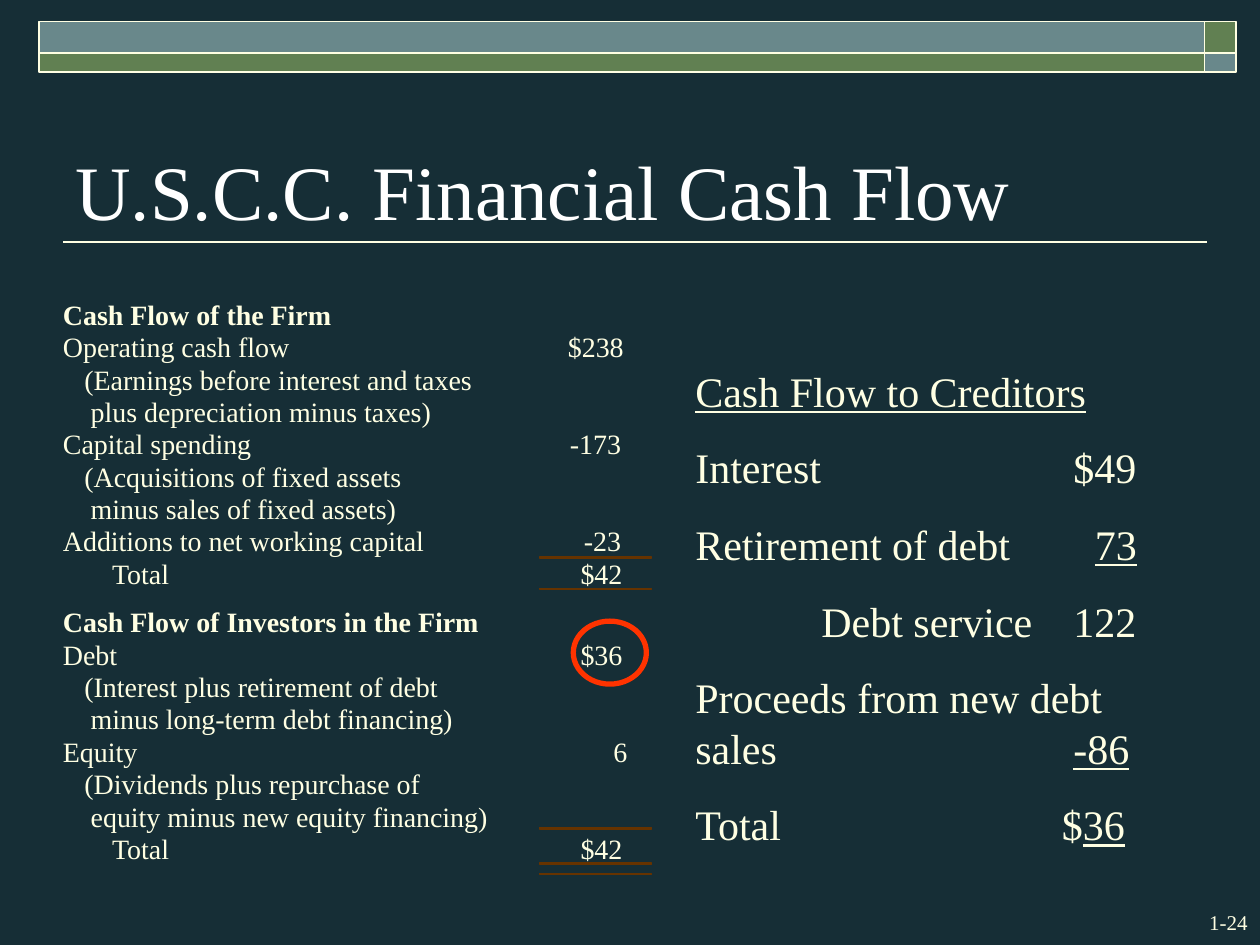
from lxml.etree import SubElement
from pptx import Presentation
from pptx.dml.color import RGBColor
from pptx.enum.shapes import MSO_CONNECTOR, MSO_SHAPE
from pptx.enum.text import MSO_ANCHOR, PP_ALIGN
from pptx.oxml.ns import qn
from pptx.util import Pt

PX = 9144  # EMU per px, 100 px to the inch
FONT = "Times New Roman"
NAVY = RGBColor(0x16, 0x2E, 0x36)
CREAM = RGBColor(0xFF, 0xFF, 0xE3)
WHITE = RGBColor(0xFF, 0xFF, 0xFF)
GREEN = RGBColor(0x61, 0x80, 0x52)
TEAL = RGBColor(0x69, 0x88, 0x8B)
RED = RGBColor(0xFF, 0x33, 0x00)
BROWN = RGBColor(0x66, 0x33, 0x00)
BLACK = RGBColor(0, 0, 0)

ROW_PITCH = 25.7
# label, indent, bold, amount, right edge of the amount
FIRM_ROWS = [
    ("Cash Flow of the Firm", 0, True, None, 0),
    ("Operating cash flow", 0, False, "$238", 445),
    ("(Earnings before interest and taxes", 17, False, None, 0),
    ("plus depreciation minus taxes)", 22, False, None, 0),
    ("Capital spending", 0, False, "-173", 443),
    ("(Acquisitions of fixed assets", 17, False, None, 0),
    ("minus sales of fixed assets)", 22, False, None, 0),
    ("Additions to net working capital", 0, False, "-23", 443),
    ("Total", 39, False, "$42", 444),
]
INVESTOR_ROWS = [
    ("Cash Flow of Investors in the Firm", 0, True, None, 0),
    ("Debt", 0, False, "$36", 444),
    ("(Interest plus retirement of debt", 17, False, None, 0),
    ("minus long-term debt financing)", 22, False, None, 0),
    ("Equity", 0, False, "6", 448),
    ("(Dividends plus repurchase of", 17, False, None, 0),
    ("equity minus new equity financing)", 22, False, None, 0),
    ("Total", 39, False, "$42", 444),
]
# tab stops, plain text, underlined text
CREDITOR_LINES = [
    ([], "", "Cash Flow to Creditors"),
    ([300], "Interest\t$49", ""),
    ([317], "Retirement of debt\t", "73"),
    ([100, 300], "\tDebt service\t122", ""),
    ([300], "Proceeds from new debt sales\t", "-86"),
    ([291], "Total\t$", "36"),
]


def emu(*lengths):
    return [round(n * PX) for n in lengths]


def add_run(p, text, size, color=CREAM, **extra):
    r = p.add_run()
    r.text = text
    r.font.color.rgb = color
    for name, value in {"name": FONT, "size": Pt(size), **extra}.items():
        setattr(r.font, name, value)


def add_frame(s, box, inset=(0, 0), **extra):
    """Add a wrapping text box with (side, top and bottom) insets."""
    tf = s.shapes.add_textbox(*emu(*box)).text_frame
    side, end = emu(*inset)
    values = {"word_wrap": True, "margin_left": side, "margin_right": side,
              "margin_top": end, "margin_bottom": end, **extra}
    for name, value in values.items():
        setattr(tf, name, value)
    return tf


def add_outlined(s, kind, box, fill, line, width):
    sp = s.shapes.add_shape(kind, *emu(*box))
    sp.shadow.inherit = False
    if fill is None:
        sp.fill.background()
    else:
        sp.fill.solid()
        sp.fill.fore_color.rgb = fill
    sp.line.color.rgb = line
    sp.line.width = Pt(width)


def header_bars(s, x, y, w, h):
    corner, upper = 25, 25
    left = w - corner
    for dx, dy, bw, bh, fill in [
        (left, 0, corner, upper, GREEN),
        (0, 0, left, upper, TEAL),
        (0, upper, left, h - upper, GREEN),
        (left, upper, corner, h - upper, TEAL),
    ]:
        add_outlined(s, MSO_SHAPE.RECTANGLE, (x + dx, y + dy, bw, bh), fill, CREAM, 1)


def title(s, x, y, w, h):
    """Title text standing on a full-width rule."""
    rule = s.shapes.add_connector(MSO_CONNECTOR.STRAIGHT, *emu(x, y + h, x + w, y + h))
    rule.line.color.rgb = CREAM
    rule.line.width = Pt(1)
    SubElement(rule._element.spPr, qn("a:effectLst"))
    tf = add_frame(s, (x, y, w - 35, h), (10, 5), vertical_anchor=MSO_ANCHOR.BOTTOM)
    add_run(tf.paragraphs[0], "U.S.C.C. Financial Cash Flow", 44, WHITE)


def statement(s, x, y, rows):
    for i, (label, indent, bold, amount, edge) in enumerate(rows):
        top = y + i * ROW_PITCH
        tf = add_frame(s, (x, top, 370, 27), margin_left=indent * PX)
        add_run(tf.paragraphs[0], label, 16, bold=bold)
        if amount:
            p = add_frame(s, (x + edge - 50, top, 50, 27)).paragraphs[0]
            p.alignment = PP_ALIGN.RIGHT
            add_run(p, amount, 16)


def total_rules(s, x, w, tops):
    for top in tops:
        add_outlined(s, MSO_SHAPE.RECTANGLE, (x, top, w, 1), BLACK, BROWN, 0.75)


def creditors(s, x, y, w, h):
    tf = add_frame(s, (x, y, w, h), (10, 5))
    for i, (stops, plain, underlined) in enumerate(CREDITOR_LINES):
        p = tf.add_paragraph() if i else tf.paragraphs[0]
        p.line_spacing = Pt(28.8)
        p.space_before = Pt(15 if i else 0)
        if stops:
            tabs = SubElement(p._p.get_or_add_pPr(), qn("a:tabLst"))
            for stop in stops:
                SubElement(tabs, qn("a:tab"), pos=str(stop * PX), algn="l")
        if plain:
            add_run(p, plain, 24)
        if underlined:
            add_run(p, underlined, 24, underline=True)


def page_number(s, x, y, w, h):
    p = add_frame(s, (x, y, w, h), (10, 5)).paragraphs[0]
    p.alignment = PP_ALIGN.RIGHT
    add_run(p, "1-24", 12)


def main():
    prs = Presentation()
    prs.slide_width, prs.slide_height = emu(1000, 750)
    s = prs.slides.add_slide(prs.slide_layouts[6])
    s.background.fill.solid()
    s.background.fill.fore_color.rgb = NAVY
    header_bars(s, 31, 17, 950, 40)
    page_number(s, 917, 717, 83, 30)
    title(s, 50, 67, 908, 125)
    statement(s, 50, 236, FIRM_ROWS)
    statement(s, 50, 480, INVESTOR_ROWS)
    creditors(s, 542, 285, 375, 394)
    add_outlined(s, MSO_SHAPE.OVAL, (455, 493, 58, 50), None, RED, 3)
    total_rules(s, 428, 89, [442, 467, 657, 685, 693])
    prs.save("out.pptx")


if __name__ == "__main__":
    main()
